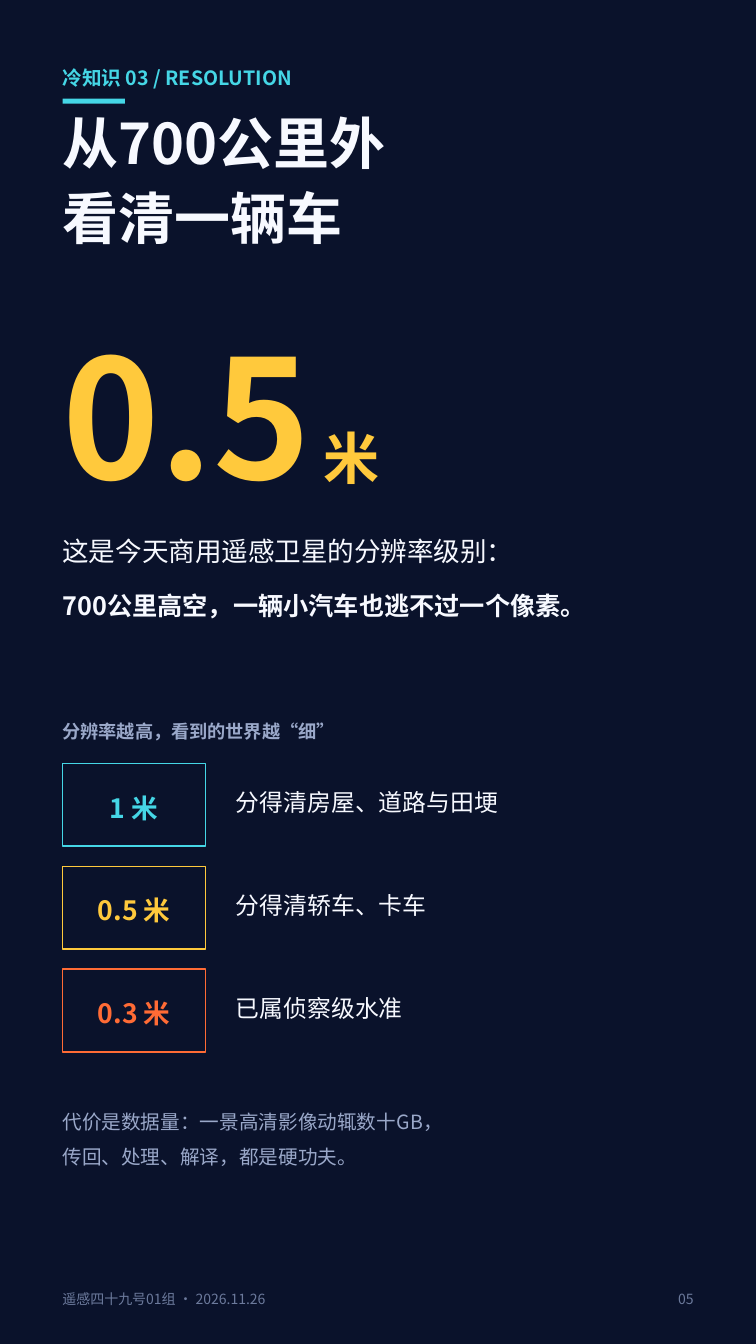
"""Build a tall slide on satellite image resolution."""
from dataclasses import dataclass

from lxml.etree import SubElement
from pptx import Presentation
from pptx.dml.color import RGBColor
from pptx.enum.shapes import MSO_SHAPE
from pptx.enum.text import MSO_ANCHOR, MSO_AUTO_SIZE, PP_ALIGN
from pptx.oxml.ns import qn
from pptx.util import Inches, Pt


@dataclass(frozen=True)
class Theme:
    """Colours, type sizes and font."""
    font: str = "Noto Sans CJK SC"
    night: str = "0A122B"
    white: str = "F7F9FF"
    cyan: str = "45D6E6"
    gold: str = "FFC93C"
    orange: str = "FF6B35"
    mist: str = "9AA8C9"
    slate: str = "6C7A9C"
    hero: int = 118
    head: int = 40
    lead: int = 19
    claim: int = 18
    body: int = 17
    small: int = 14
    label: int = 13
    foot: int = 10


T = Theme()
LEFT, WIDE = 0.62, 6.26
TITLE = ("从700公里外", "看清一辆车")
TEXTS = [
    ((LEFT, 0.62, WIDE, 0.34), [
        ("冷知识 03 / RESOLUTION", dict(size=T.small, color=T.cyan, bold=True))]),
    ((LEFT, 3.12, WIDE, 1.75), [
        ("0.5", dict(size=T.hero, color=T.gold, bold=True, line=1)),
        (" 米", dict(size=T.head, color=T.gold, bold=True, line=1, join=True))]),
    ((LEFT, 5.12, WIDE, 1.85), [
        ("这是今天商用遥感卫星的分辨率级别：", dict(size=T.lead, line=1.6, after=4)),
        ("700公里高空，一辆小汽车也逃不过一个像素。",
         dict(size=T.claim, bold=True, line=1.6))]),
    ((LEFT, 7.12, WIDE, 0.35), [
        ("分辨率越高，看到的世界越“细”",
         dict(size=T.label, color=T.mist, bold=True))]),
    ((LEFT, 10.9, WIDE, 1.3), [
        ("代价是数据量：一景高清影像动辄数十GB，",
         dict(size=T.small, color=T.mist, line=1.5)),
        ("传回、处理、解译，都是硬功夫。",
         dict(size=T.small, color=T.mist, line=1.5))]),
    ((LEFT, 12.78, 5.2, 0.3), [
        ("遥感四十九号01组 · 2026.11.26", dict(size=T.foot, color=T.slate))]),
    ((6.3, 12.78, 0.58, 0.3), [
        ("05", dict(size=T.foot, color=T.slate, align=PP_ALIGN.RIGHT))]),
]
LEVELS = [
    ("1 米", "分得清房屋、道路与田埂", T.cyan),
    ("0.5 米", "分得清轿车、卡车", T.gold),
    ("0.3 米", "已属侦察级水准", T.orange),
]
TOP, STEP = 7.58, 1.02


def write(frame, text, size=T.body, color=T.white, bold=False, line=1.15,
          after=0, align=PP_ALIGN.LEFT, join=False):
    """Add text to a frame as a paragraph, or as a run of the last one."""
    para = frame.paragraphs[-1]
    if para.runs and not join:
        para = frame.add_paragraph()
    para.alignment, para.line_spacing = align, line
    para.space_before, para.space_after = Pt(0), Pt(after)
    run = para.add_run()
    run.text = text
    font = run.font
    font.size, font.bold, font.name = Pt(size), bold, T.font
    font.color.rgb = RGBColor.from_string(color)
    SubElement(run._r.get_or_add_rPr(), qn("a:ea"), typeface=T.font)


def clear(frame, anchor=MSO_ANCHOR.TOP):
    """Strip the margins of a frame and let it wrap."""
    frame.margin_left = frame.margin_right = 0
    frame.margin_top = frame.margin_bottom = 0
    frame.auto_size, frame.word_wrap = MSO_AUTO_SIZE.NONE, True
    frame.vertical_anchor = anchor
    return frame


def place(slide, at):
    """Add an empty text box and return its frame."""
    return clear(slide.shapes.add_textbox(*map(Inches, at)).text_frame)


def block(slide, at):
    """Add a plain rectangle without fill or line."""
    shape = slide.shapes.add_shape(MSO_SHAPE.RECTANGLE, *map(Inches, at))
    shape.shadow.inherit = False
    shape.fill.background()
    shape.line.fill.background()
    return shape


def level(slide, top, name, text, color):
    """Draw one framed resolution with its meaning."""
    card = block(slide, (LEFT, top, 1.42, 0.82))
    card.line.color.rgb = RGBColor.from_string(color)
    card.line.width = Pt(1.19)
    write(clear(card.text_frame, MSO_ANCHOR.MIDDLE), name, size=T.lead,
          color=color, bold=True, align=PP_ALIGN.CENTER)
    write(place(slide, (2.34, top + 0.2, 4.5, 0.5)), text)


def main():
    """Build and save the slide."""
    deck = Presentation()
    deck.slide_width, deck.slide_height = Inches(7.5), Inches(13.34)
    slide = deck.slides.add_slide(deck.slide_layouts[5])
    back = slide.background.fill
    back.solid()
    back.fore_color.rgb = RGBColor.from_string(T.night)

    title = slide.shapes.title
    title.left, title.top = Inches(LEFT), Inches(1.08)
    title.width, title.height = Inches(WIDE), Inches(1.9)
    frame = clear(title.text_frame)
    for text, line in zip(TITLE, (1, 1.12)):
        write(frame, text, size=T.head, bold=True, line=line)

    rule = block(slide, (LEFT, 0.98, 0.62, 0.05))
    rule.fill.solid()
    rule.fill.fore_color.rgb = RGBColor.from_string(T.cyan)

    for at, parts in TEXTS:
        frame = place(slide, at)
        for text, style in parts:
            write(frame, text, **style)
    for row, item in enumerate(LEVELS):
        level(slide, TOP + row * STEP, *item)
    deck.save("out.pptx")


if __name__ == "__main__":
    main()
